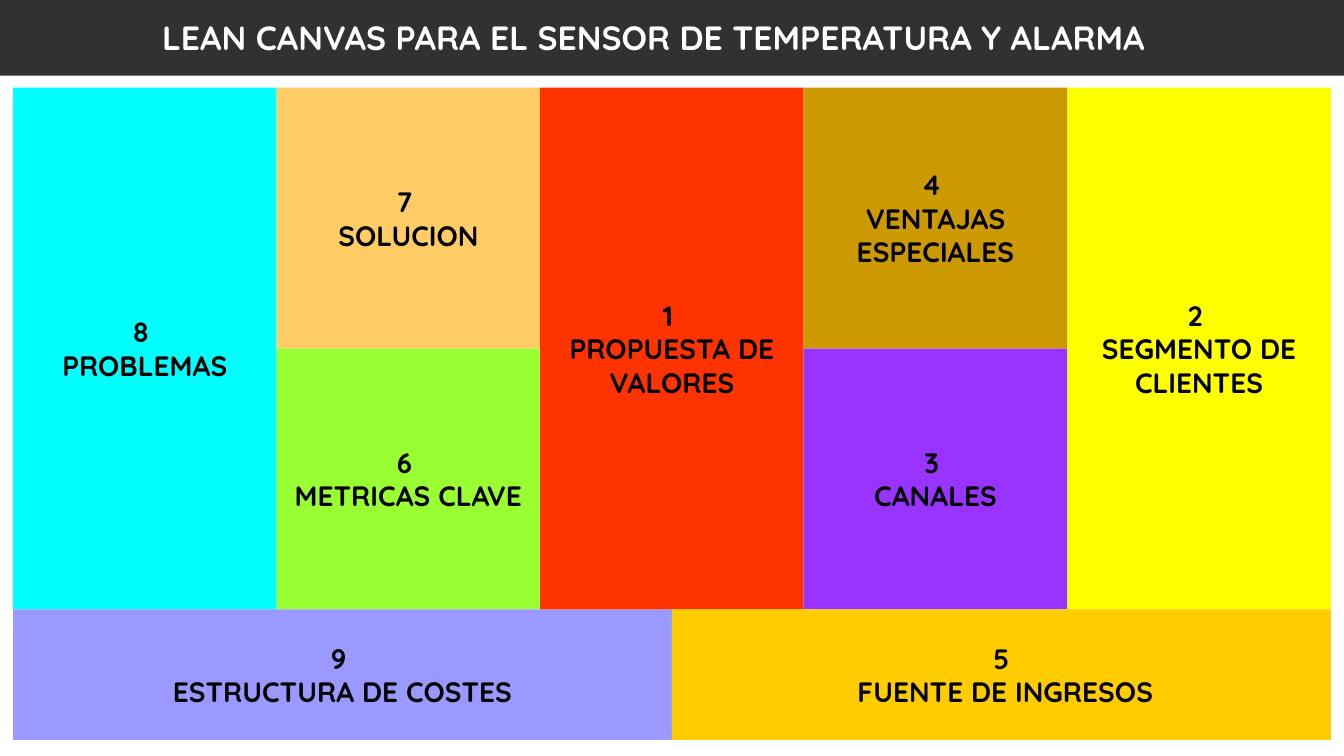
"""Build the lean canvas slide for the temperature sensor and alarm."""
import pptx
import pptx.dml.color
import pptx.enum.shapes
import pptx.enum.text
import pptx.oxml.ns
import pptx.util
from lxml import etree

Inches = pptx.util.Inches
PP_ALIGN = pptx.enum.text.PP_ALIGN

TITLE = "LEAN CANVAS PARA EL SENSOR DE TEMPERATURA Y ALARMA"
FONT = "Quicksand"
WIDTH, HEIGHT = 13.33, 7.5
LEFT, TOP = 0.13, 0.87
COL_W, ROW_H = 2.614, 2.588
BASE_W, BASE_H = COL_W * 2.5, ROW_H / 2

# number, label, fill, column, row, columns spanned, rows spanned
BLOCKS = [
    ("8 ", "PROBLEMAS", "00FFFF", 0, 0, 1, 2),
    ("7 ", "SOLUCION", "FFCC66", 1, 0, 1, 1),
    ("6 ", "METRICAS CLAVE", "99FF33", 1, 1, 1, 1),
    ("9 ", "ESTRUCTURA DE COSTES", "9999FF", 0, 2, 2.5, 0.5),
    ("1 ", "PROPUESTA DE VALORES", "FF3300", 2, 0, 1, 2),
    ("4 ", "VENTAJAS ESPECIALES", "CC9900", 3, 0, 1, 1),
    ("3 ", "CANALES", "9933FF", 3, 1, 1, 1),
    ("2 ", "SEGMENTO DE CLIENTES", "FFFF00", 4, 0, 1, 2),
    ("5", " FUENTE DE INGRESOS", "FFCC00", 2.5, 2, 2.5, 0.5),
]


def rgb(value):
    return pptx.dml.color.RGBColor.from_string(value)


def add_box(s, x, y, w, h, fill):
    sp = s.shapes.add_shape(pptx.enum.shapes.MSO_SHAPE.RECTANGLE,
                            Inches(x), Inches(y), Inches(w), Inches(h))
    sp.shadow.inherit = False
    sp.fill.solid()
    sp.fill.fore_color.rgb = rgb(fill)
    sp.line.fill.background()
    return sp


def write(tf, lines, size, color, align):
    tf.word_wrap = True
    tf.text = "\n".join(lines)
    for p in tf.paragraphs:
        p.alignment = align
        for r in p.runs:
            r.font.name = FONT
            r.font.size = pptx.util.Pt(size)
            r.font.bold = True
            r.font.color.rgb = rgb(color)


def main():
    prs = pptx.Presentation()
    prs.slide_width, prs.slide_height = Inches(WIDTH), Inches(HEIGHT)
    s = prs.slides.add_slide(prs.slide_layouts[6])

    header = add_box(s, 0, 0, WIDTH, 0.75, "262626")
    color = header.fill._xPr.find(".//" + pptx.oxml.ns.qn("a:srgbClr"))
    etree.SubElement(color, pptx.oxml.ns.qn("a:alpha"), val="95000")

    title = s.shapes.add_textbox(Inches(1.51), Inches(0.12), Inches(11.5), Inches(0.5))
    write(title.text_frame, [TITLE], 24, "FFFFFF", PP_ALIGN.JUSTIFY)

    for number, label, fill, col, row, cols, rows in BLOCKS:
        sp = add_box(s, LEFT + col * COL_W, TOP + row * ROW_H,
                     cols * COL_W, rows * ROW_H, fill)
        sp.text_frame.vertical_anchor = pptx.enum.text.MSO_ANCHOR.MIDDLE
        write(sp.text_frame, [number, label], 20, "000000", PP_ALIGN.CENTER)

    prs.save("out.pptx")


if __name__ == "__main__":
    main()
